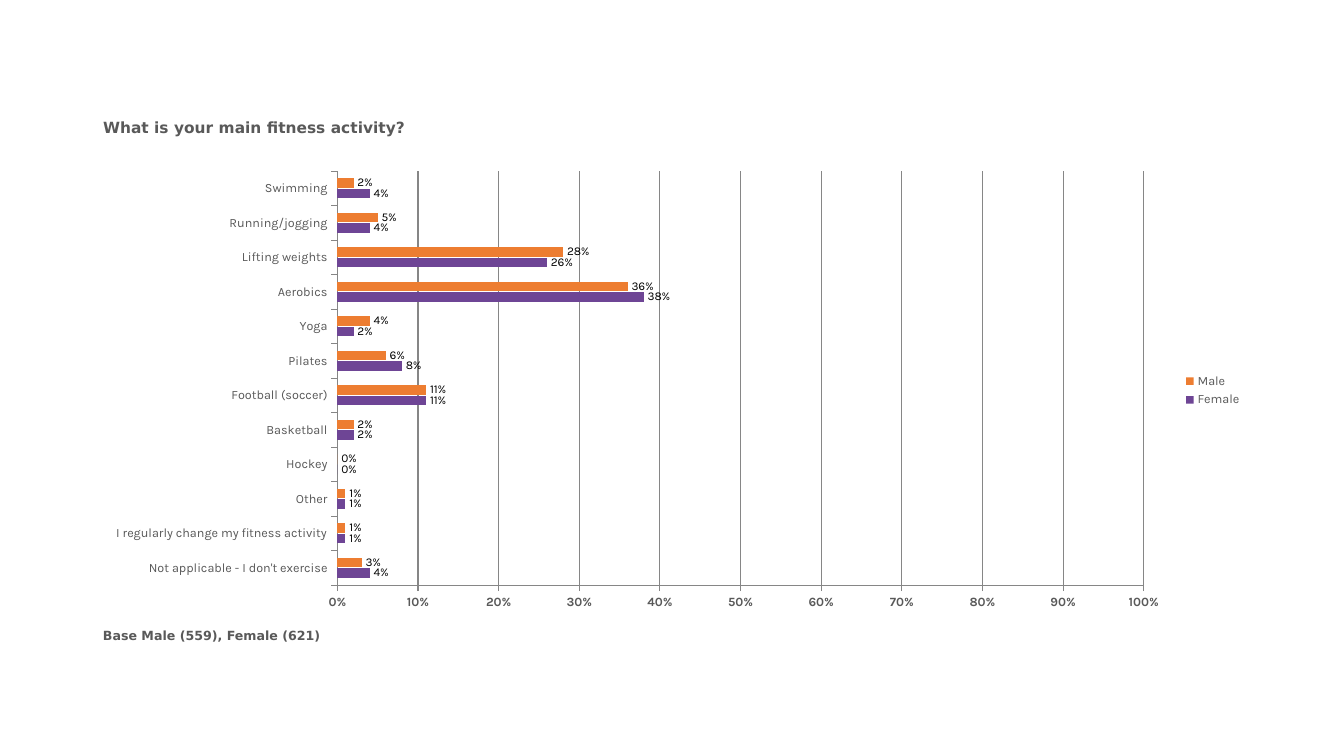
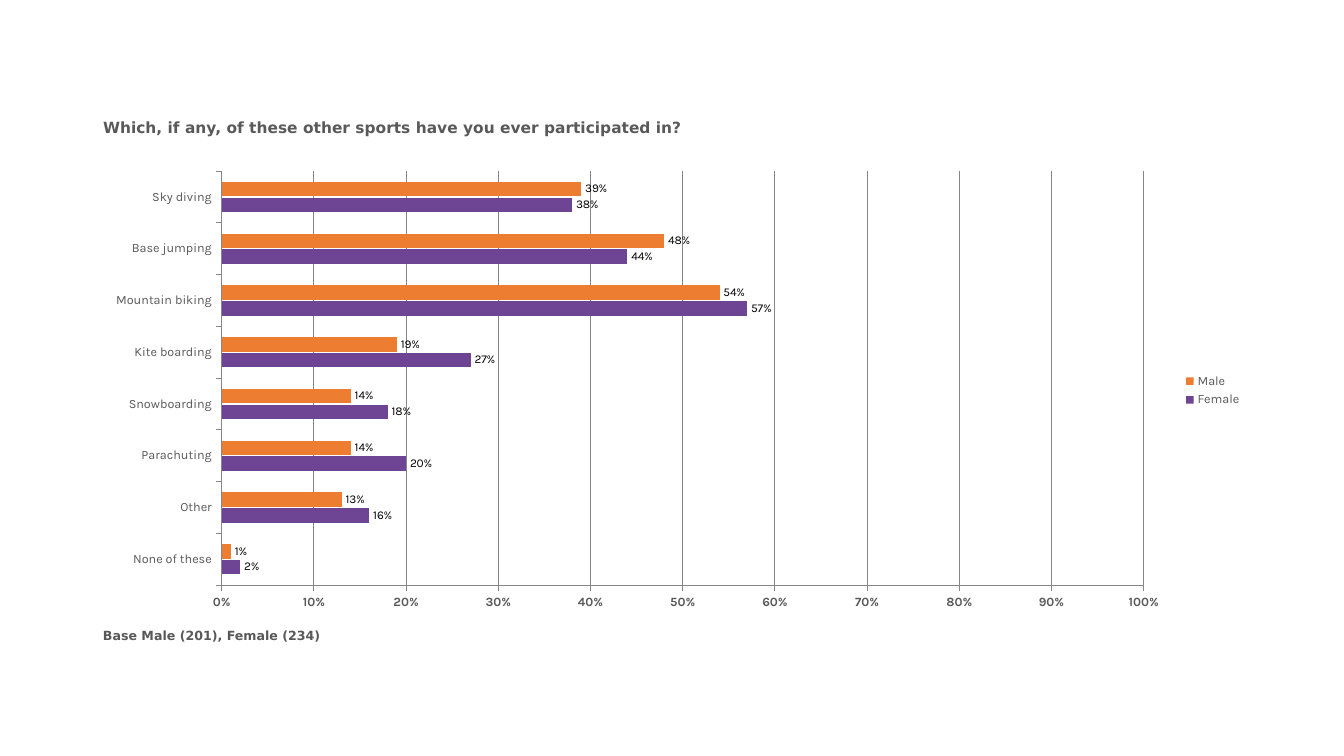
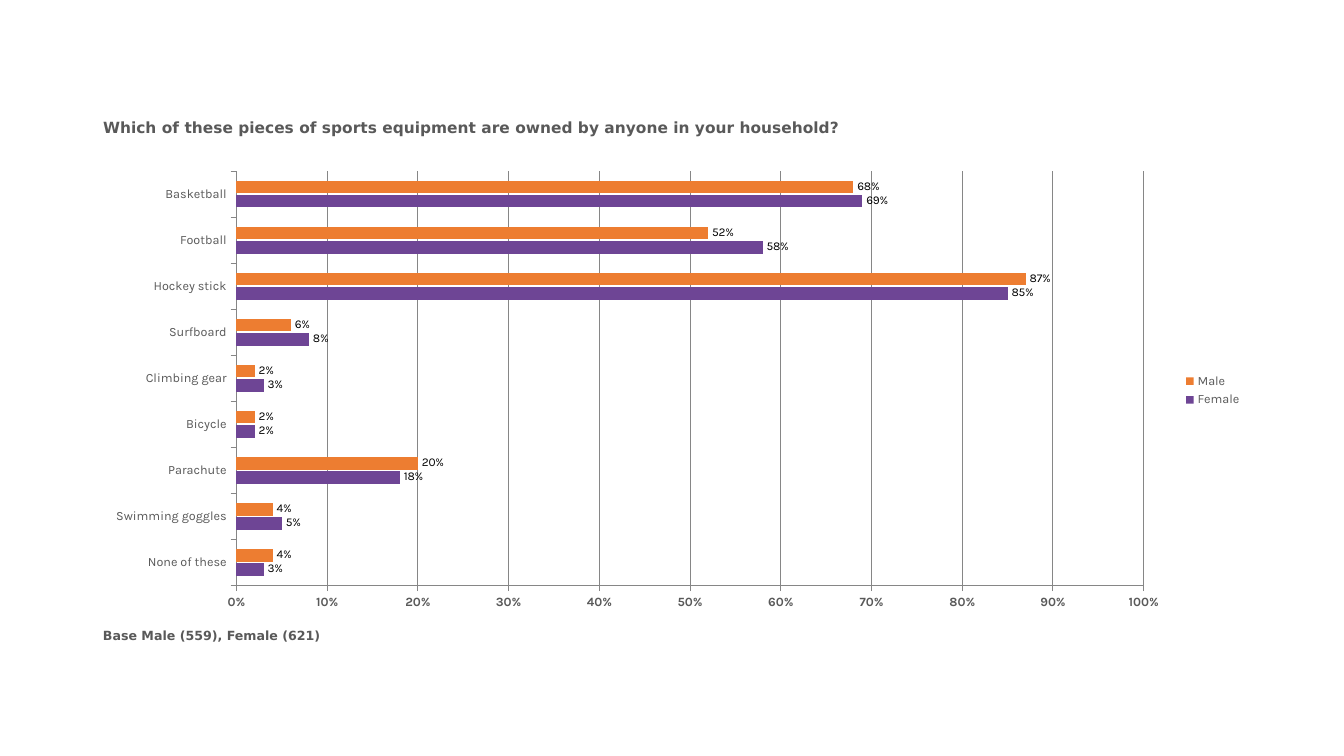
from pptx import Presentation
from pptx.chart.data import CategoryChartData as ChartData
from pptx.dml.color import RGBColor
from pptx.enum.chart import XL_CHART_TYPE as Kind, XL_LABEL_POSITION as LabelPos
from pptx.enum.chart import XL_LEGEND_POSITION as LegendPos, XL_TICK_LABEL_POSITION as TickPos
from pptx.enum.chart import XL_TICK_MARK as Tick
from pptx.enum.text import MSO_ANCHOR as Anchor, MSO_AUTO_SIZE as Fit, PP_ALIGN as Align
from pptx.util import Emu, Pt

# Shared style
GREY = RGBColor(0x59, 0x59, 0x59)
RULE = RGBColor(0x86, 0x86, 0x86)
BLACK = RGBColor(0, 0, 0)
MALE = RGBColor(0xED, 0x7D, 0x31)
FEMALE = RGBColor(0x6E, 0x45, 0x95)
HEAD, BODY, BASE = "DejaVu Sans", "Karla", "Calibri"
LEFT, WIDTH = 93, 1159

# Survey content: question, base, and (answer, male %, female %) from top to bottom
SURVEY = [
    ("What is your main fitness activity?", "Base Male (559), Female (621)", [
        ("Swimming", 2, 4),
        ("Running/jogging", 5, 4),
        ("Lifting weights", 28, 26),
        ("Aerobics", 36, 38),
        ("Yoga", 4, 2),
        ("Pilates", 6, 8),
        ("Football (soccer)", 11, 11),
        ("Basketball", 2, 2),
        ("Hockey", 0, 0),
        ("Other", 1, 1),
        ("I regularly change my fitness activity", 1, 1),
        ("Not applicable - I don't exercise", 3, 4),
    ]),
    ("Which, if any, of these other sports have you ever participated in?",
     "Base Male (201), Female (234)", [
         ("Sky diving", 39, 38),
         ("Base jumping", 48, 44),
         ("Mountain biking", 54, 57),
         ("Kite boarding", 19, 27),
         ("Snowboarding", 14, 18),
         ("Parachuting", 14, 20),
         ("Other", 13, 16),
         ("None of these", 1, 2),
     ]),
    ("Which of these pieces of sports equipment are owned by anyone in your household?",
     "Base Male (559), Female (621)", [
         ("Basketball", 68, 69),
         ("Football", 52, 58),
         ("Hockey stick", 87, 85),
         ("Surfboard", 6, 8),
         ("Climbing gear", 2, 3),
         ("Bicycle", 2, 2),
         ("Parachute", 20, 18),
         ("Swimming goggles", 4, 5),
         ("None of these", 4, 3),
     ]),
]


def px(count):
    return Emu(round(count * 914400 / 100.8))


def style(font, name, size, color, bold=False):
    font.name, font.size, font.bold = name, Pt(size), bold
    font.color.rgb = color


def rule(line):
    line.color.rgb = RULE
    line.width = Pt(0.75)


def write(box, text, top, height, size):
    """Place a full-width bold line of text."""
    box.left, box.top, box.width, box.height = map(px, (LEFT, top, WIDTH, height))
    frame = box.text_frame
    frame.text = text
    frame.word_wrap = True
    frame.auto_size = Fit.NONE
    frame.vertical_anchor = Anchor.TOP
    line = frame.paragraphs[0]
    line.alignment = Align.LEFT
    style(line.font, HEAD, size, GREY, True)


def set_axis(axis, bold):
    axis.tick_label_position = TickPos.LOW
    axis.major_tick_mark, axis.minor_tick_mark = Tick.OUTSIDE, Tick.NONE
    style(axis.tick_labels.font, BODY, 9, GREY, bold)
    rule(axis.format.line)


def add_bars(slide, rows):
    # Bars run upwards from the axis, so the rows are reversed
    names, male, female = zip(*reversed(rows))
    data = ChartData(number_format="0%")
    data.categories = names
    for name, vals in (("Female", female), ("Male", male)):
        data.add_series(name, [val / 100 for val in vals])
    frame = slide.shapes.add_chart(
        Kind.BAR_CLUSTERED, px(LEFT), px(162), px(WIDTH), px(457), data)
    chart = frame.chart
    chart.has_title = False
    style(chart.font, BASE, 18, BLACK)

    # Axes
    set_axis(chart.category_axis, False)
    scale = chart.value_axis
    set_axis(scale, True)
    scale.minimum_scale, scale.maximum_scale, scale.major_unit = 0, 1, 0.1
    scale.tick_labels.number_format = "0%"
    scale.tick_labels.number_format_is_linked = False
    scale.has_major_gridlines = True
    rule(scale.major_gridlines.format.line)

    # Legend
    chart.has_legend = True
    key = chart.legend
    key.position = LegendPos.RIGHT
    key.include_in_layout = False
    style(key.font, BODY, 9, GREY)

    # Bars and their labels
    plot = chart.plots[0]
    plot.gap_width, plot.overlap = 150, -10
    plot.vary_by_categories = False
    for bars, color in zip(plot.series, (FEMALE, MALE)):
        bars.format.fill.solid()
        bars.format.fill.fore_color.rgb = color
        bars.invert_if_negative = False
        labels = bars.data_labels
        labels.show_value = True
        labels.position = LabelPos.OUTSIDE_END
        labels.number_format = "0%"
        labels.number_format_is_linked = False
        style(labels.font, BODY, 8.5, BLACK)


def main():
    deck = Presentation()
    deck.slide_width, deck.slide_height = px(1344), px(756)
    for title, base, rows in SURVEY:
        slide = deck.slides.add_slide(deck.slide_layouts[5])
        write(slide.shapes.title, title, 113, 51, 11)
        write(slide.shapes.add_textbox(0, 0, 0, 0), base, 623, 43, 9)
        add_bars(slide, rows)
    deck.save("out.pptx")


main()
